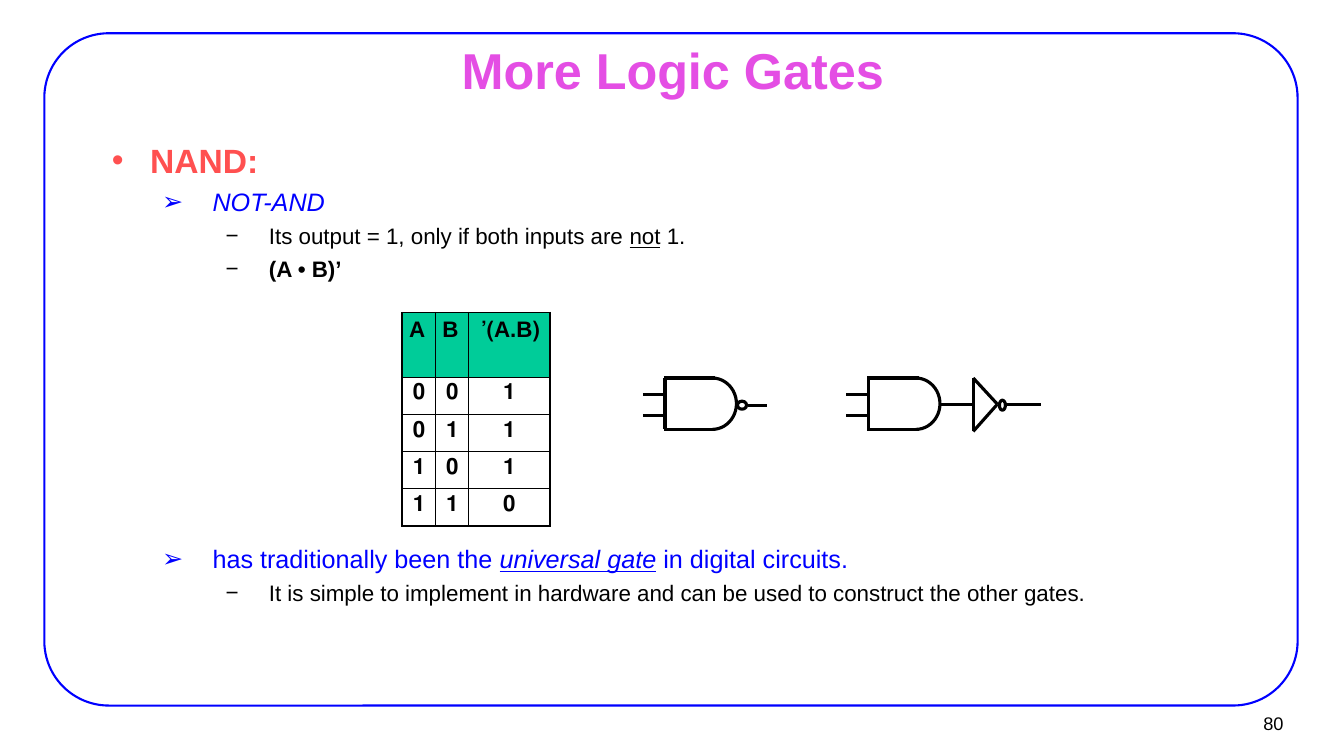
from lxml import etree
from pptx import Presentation
from pptx.dml.color import RGBColor
from pptx.enum import shapes as kinds, text as txt
from pptx.oxml import ns
from pptx.util import Inches, Pt

BLACK = RGBColor(0x00, 0x00, 0x00)
BLUE = RGBColor(0x00, 0x00, 0xFF)
CORAL = RGBColor(0xFF, 0x50, 0x50)
ORCHID = RGBColor(0xE4, 0x4E, 0xE4)
GREEN = RGBColor(0x00, 0xCC, 0x99)

FONT = "Arial"
GATE_LINE = 2.25
OUTER_BORDER, INNER_BORDER = 1.08, 0.45

LEVELS = [
    dict(margin=0.38, indent=-0.38, before=6, bullet="•", color=CORAL,
         font=dict(size=Pt(24), bold=True)),
    dict(margin=1, indent=-0.5, before=4.5, bullet="➢", color=BLUE,
         font=dict(size=Pt(18), bold=False)),
    dict(margin=1.56, indent=-0.43, before=4, bullet="−", color=BLACK,
         font=dict(size=Pt(16), bold=False)),
]
NAND_MEANING = [
    (0, [("NAND:", {})]),
    (1, [("NOT-AND", dict(italic=True))]),
    (2, [("Its output = 1, only if both inputs are ", {}),
         ("not", dict(underline=True)), (" 1.", {})]),
    (2, [("(A • B)’", dict(bold=True))]),
]
NAND_USE = [
    (1, [("has traditionally been the ", {}),
         ("universal gate", dict(italic=True, underline=True)),
         (" in digital circuits.", {})]),
    (2, [("It is simple to implement in hardware and can be used "
          "to construct the other gates.", {})]),
]
TRUTH = ["A B (A.B)’", "0 0 1", "0 1 1", "1 0 1", "1 1 0"]


def element(parent, tag, **attributes):
    """Append a DrawingML child element and return it."""
    return etree.SubElement(parent, ns.qn(tag), attributes)


def style(font, color, **values):
    """Apply a colour and a dict of format values to a font."""
    font.color.rgb = color
    for name, value in dict(name=FONT, **values).items():
        setattr(font, name, value)


def text_frame(slide, box, margins, **values):
    """Add a text box with the given margins and frame settings."""
    frame = slide.shapes.add_textbox(*map(Inches, box)).text_frame
    across, down = map(Inches, margins)
    settings = dict(word_wrap=True, margin_left=across, margin_right=across,
                    margin_top=down, margin_bottom=down)
    for name, value in {**settings, **values}.items():
        setattr(frame, name, value)
    return frame


def label(slide, box, margins, words, align, color, wrap=True, **font):
    """Place a single line of text, centred vertically in its box."""
    frame = text_frame(slide, box, margins, word_wrap=wrap,
                       vertical_anchor=txt.MSO_ANCHOR.MIDDLE)
    line = frame.paragraphs[0]
    line.alignment = align
    line.add_run().text = words
    style(line.runs[0].font, color, **font)


def border(slide, box):
    """Draw the rounded frame around the slide."""
    frame = slide.shapes.add_shape(
        kinds.MSO_SHAPE.ROUNDED_RECTANGLE, *map(Inches, box))
    frame.adjustments[0] = 0.096
    outline(frame, BLUE, 1.5)


def outline(shape, color, width):
    """Leave a shape unfilled with a plain outline."""
    shape.shadow.inherit = False
    shape.fill.background()
    shape.line.color.rgb = color
    shape.line.width = Pt(width)


def bullets(slide, box, items):
    """Write bulleted paragraphs, each formatted by its level."""
    frame = text_frame(slide, box, (0.11, 0.06))
    for index, (depth, runs) in enumerate(items):
        level = LEVELS[depth]
        line = frame.add_paragraph() if index else frame.paragraphs[0]
        line.level = depth
        properties = line._p.get_or_add_pPr()
        properties.set("marL", str(Inches(level["margin"])))
        properties.set("indent", str(Inches(level["indent"])))
        element(element(properties, "a:buClr"), "a:srgbClr",
                val=str(level["color"]))
        element(properties, "a:buFont", typeface=FONT)
        element(properties, "a:buChar", char=level["bullet"])
        if index:
            line.space_before = Pt(level["before"])
        for words, changes in runs:
            run = line.add_run()
            run.text = words
            style(run.font, level["color"], **{**level["font"], **changes})


def truth_table(slide, box):
    """Build the NAND truth table with thin inner and thicker outer rules."""
    rows = [row.split() for row in TRUTH]
    last_row, last_column = len(rows) - 1, len(rows[0]) - 1
    table = slide.shapes.add_table(
        len(rows), len(rows[0]), *map(Inches, box)).table
    for column, width in zip(table.columns, (0.33, 0.33, 0.81)):
        column.width = Inches(width)
    for index, row in enumerate(table.rows):
        row.height = Inches(0.37 if index else 0.64)
    for r, row in enumerate(rows):
        for c, words in enumerate(row):
            cell = table.cell(r, c)
            edges = {"a:lnL": c == 0, "a:lnR": c == last_column,
                     "a:lnT": r == 0, "a:lnB": r == last_row}
            for tag, outer in edges.items():
                width = Pt(OUTER_BORDER if outer else INNER_BORDER)
                rule = element(cell._tc.get_or_add_tcPr(), tag, w=str(width))
                element(element(rule, "a:solidFill"), "a:srgbClr",
                        val=str(BLACK))
            if r == 0:
                cell.fill.solid()
                cell.fill.fore_color.rgb = GREEN
            else:
                cell.fill.background()
            line = cell.text_frame.paragraphs[0]
            centred = r and c == last_column
            line.alignment = (txt.PP_ALIGN.CENTER if centred
                              else txt.PP_ALIGN.RIGHT)
            line._p.get_or_add_pPr().set("rtl", "1")
            line.add_run().text = words
            style(line.runs[0].font, BLACK, size=Pt(16), bold=True)


def wires(group, left, top, segments):
    """Draw straight segments given relative to a gate's corner."""
    for x1, y1, x2, y2 in segments:
        wire = group.shapes.add_connector(
            kinds.MSO_CONNECTOR.STRAIGHT, Inches(left + x1), Inches(top + y1),
            Inches(left + x2), Inches(top + y2))
        wire.line.color.rgb = BLACK
        wire.line.width = Pt(GATE_LINE)
        element(wire._element.spPr, "a:effectLst")


def curve(group, kind, left, top, box):
    """Draw an outlined preset shape relative to a gate's corner."""
    x, y, width, height = box
    shape = group.shapes.add_shape(
        kind, *map(Inches, (left + x, top + y, width, height)))
    outline(shape, BLACK, GATE_LINE)
    return shape


def and_gate(group, left, top):
    """Draw an AND gate body with its two inputs."""
    wires(group, left, top, [
        (0, 0.16, 0.22, 0.16), (0, 0.37, 0.22, 0.37),
        (0.21, 0, 0.72, 0), (0.22, 0, 0.22, 0.51), (0.21, 0.51, 0.72, 0.51)])
    nose = curve(group, kinds.MSO_SHAPE.ARC, left, top, (0.45, 0, 0.48, 0.51))
    nose.adjustments[0], nose.adjustments[1] = 162, 54


def nand_gate(slide, left, top):
    """Draw the NAND symbol: an AND gate with an output bubble."""
    group = slide.shapes.add_group_shape()
    and_gate(group, left, top)
    curve(group, kinds.MSO_SHAPE.OVAL, left, top, (0.94, 0.23, 0.09, 0.08))
    wires(group, left, top, [(1.04, 0.27, 1.23, 0.27)])


def and_then_not(slide, left, top):
    """Draw the equivalent circuit: an AND gate followed by an inverter."""
    group = slide.shapes.add_group_shape()
    and_gate(group, left, top)
    wires(group, left, top, [
        (0.92, 0.26, 1.26, 0.26), (1.26, 0, 1.5, 0.26),
        (1.26, 0.53, 1.5, 0.26), (1.26, 0.53, 1.26, 0),
        (1.59, 0.26, 1.93, 0.26)])
    curve(group, kinds.MSO_SHAPE.OVAL, left, top, (1.52, 0.22, 0.06, 0.1))


def main():
    """Build the logic gates slide and save it."""
    deck = Presentation()
    deck.slide_width, deck.slide_height = Inches(13.34), Inches(7.5)
    slide = deck.slides.add_slide(deck.slide_layouts[6])
    border(slide, (0.44, 0.33, 12.44, 6.67))
    label(slide, (12.02, 6.99, 0.81, 0.37), (0.09, 0.04), "80",
          txt.PP_ALIGN.RIGHT, BLACK, wrap=False, size=Pt(13))
    label(slide, (1.01, 0.44, 11.34, 0.49), (0.11, 0.06), "More Logic Gates",
          txt.PP_ALIGN.CENTER, ORCHID, size=Pt(36), bold=True)
    bullets(slide, (1, 1.33, 11.33, 1.6), NAND_MEANING)
    bullets(slide, (1, 5.33, 11.33, 1.08), NAND_USE)
    truth_table(slide, (3.99, 3.1, 1.47, 2.12))
    nand_gate(slide, 6.38, 3.75)
    and_then_not(slide, 8.4, 3.75)
    deck.save("out.pptx")


if __name__ == "__main__":
    main()
